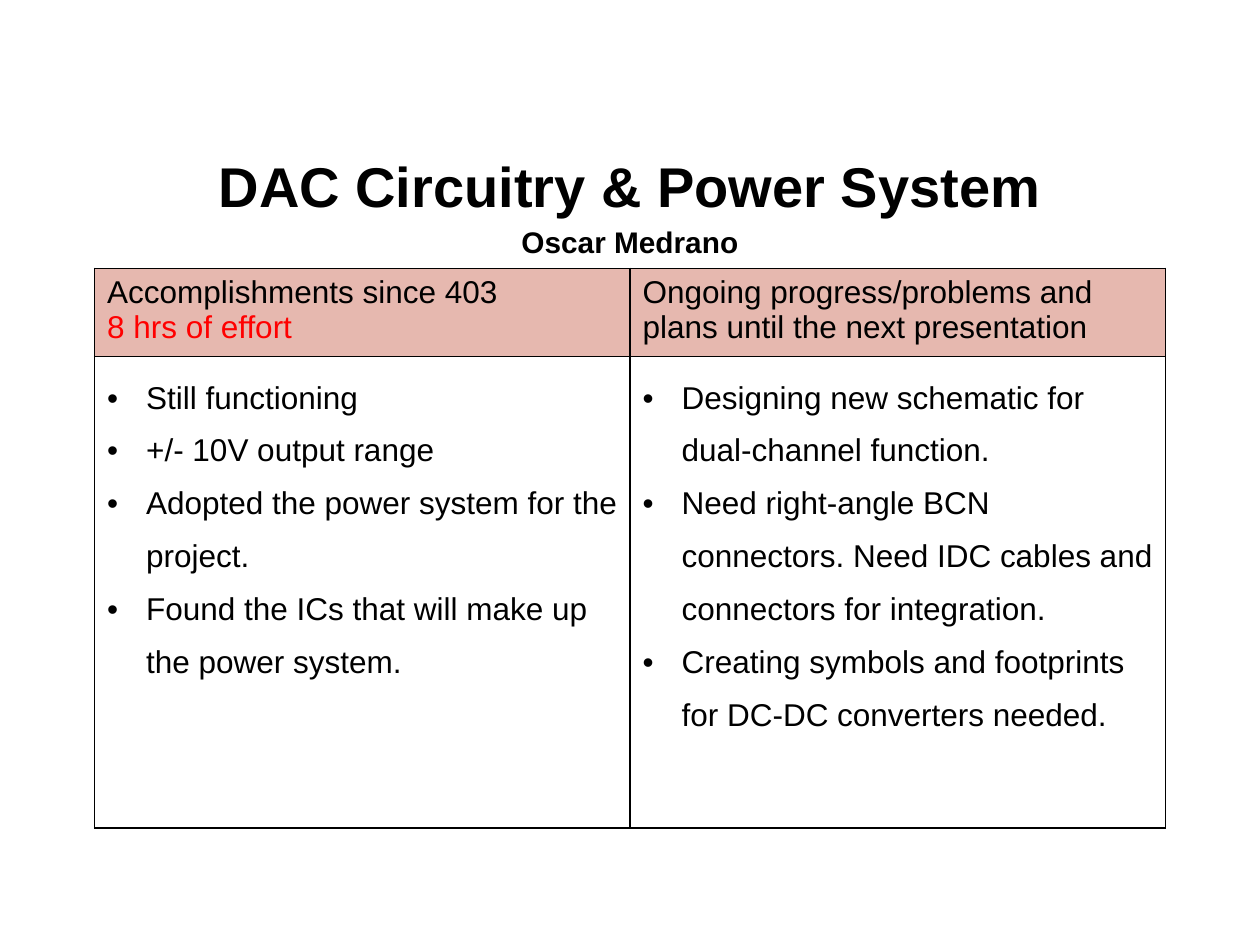
from lxml.etree import SubElement
from pptx import Presentation
from pptx.dml.color import RGBColor
from pptx.enum.text import MSO_ANCHOR, MSO_AUTO_SIZE, PP_ALIGN
from pptx.oxml.ns import qn
from pptx.util import Inches, Pt

COLORS = {"text": "000000", "effort": "FF0000", "header": "E6B8AF", "border": "000000"}
FONT = "Arial"
HEADERS = [
    [("Accomplishments since 403", "text"), ("8 hrs of effort", "effort")],
    [("Ongoing progress/problems and plans until the next presentation", "text")],
]
POINTS = [
    [
        "Still functioning",
        "+/- 10V output range",
        "Adopted the power system for the project.",
        "Found the ICs that will make up the power system.",
    ],
    [
        "Designing new schematic for dual-channel function.",
        "Need right-angle BCN connectors. Need IDC cables and connectors for integration.",
        "Creating symbols and footprints for DC-DC converters needed.",
    ],
]


def rgb(name):
    return RGBColor.from_string(COLORS[name])


def style(paragraph, size, color="text", bold=False):
    font = paragraph.font
    font.name, font.size, font.bold = FONT, Pt(size), bold
    font.color.rgb = rgb(color)


def add_lines(frame, lines):
    for index, line in enumerate(lines):
        paragraph = frame.paragraphs[0] if index == 0 else frame.add_paragraph()
        paragraph.text = line
        yield paragraph


def add_bullet(paragraph):
    properties = paragraph._p.get_or_add_pPr()
    properties.set("marL", str(Inches(0.31)))
    properties.set("indent", str(-Inches(0.31)))
    SubElement(properties, qn("a:buFont"), typeface=FONT)
    SubElement(properties, qn("a:buChar"), char="•")


def add_borders(cell):
    properties = cell._tc.get_or_add_tcPr()
    for side in ("lnL", "lnR", "lnT", "lnB"):
        border = SubElement(properties, qn(f"a:{side}"), w=str(Pt(1)))
        fill = SubElement(border, qn("a:solidFill"))
        SubElement(fill, qn("a:srgbClr"), val=COLORS["border"])


def add_heading(slide):
    heading = slide.shapes.add_textbox(Inches(0.5), Inches(1.15), Inches(9), Inches(0.88))
    frame = heading.text_frame
    frame.word_wrap = True
    frame.auto_size = MSO_AUTO_SIZE.NONE
    frame.vertical_anchor = MSO_ANCHOR.MIDDLE
    lines = add_lines(frame, ["DAC Circuitry & Power System", "Oscar Medrano"])
    for paragraph, size in zip(lines, (32, 17)):
        paragraph.alignment = PP_ALIGN.CENTER
        paragraph.line_spacing = 1.15
        style(paragraph, size, bold=True)


def fill_header(cell, lines):
    add_borders(cell)
    cell.fill.solid()
    cell.fill.fore_color.rgb = rgb("header")
    texts, colors = zip(*lines)
    for paragraph, color in zip(add_lines(cell.text_frame, texts), colors):
        style(paragraph, 18, color)


def fill_points(cell, points):
    add_borders(cell)
    cell.fill.background()
    for paragraph in add_lines(cell.text_frame, points):
        paragraph.line_spacing = 1.5
        add_bullet(paragraph)
        style(paragraph, 18)


def add_status_table(slide):
    frame = slide.shapes.add_table(2, 2, Inches(0.75), Inches(2.13), Inches(8.5), Inches(4.44))
    status = frame.table
    status.first_row = status.horz_banding = False
    status.rows[0].height = Inches(0.7)
    status.rows[1].height = Inches(3.74)
    for column, (header, points) in enumerate(zip(HEADERS, POINTS)):
        fill_header(status.cell(0, column), header)
        fill_points(status.cell(1, column), points)


def main():
    presentation = Presentation()
    presentation.slide_width, presentation.slide_height = Inches(10), Inches(7.5)
    slide = presentation.slides.add_slide(presentation.slide_layouts[6])
    add_heading(slide)
    add_status_table(slide)
    presentation.save("out.pptx")


if __name__ == "__main__":
    main()
